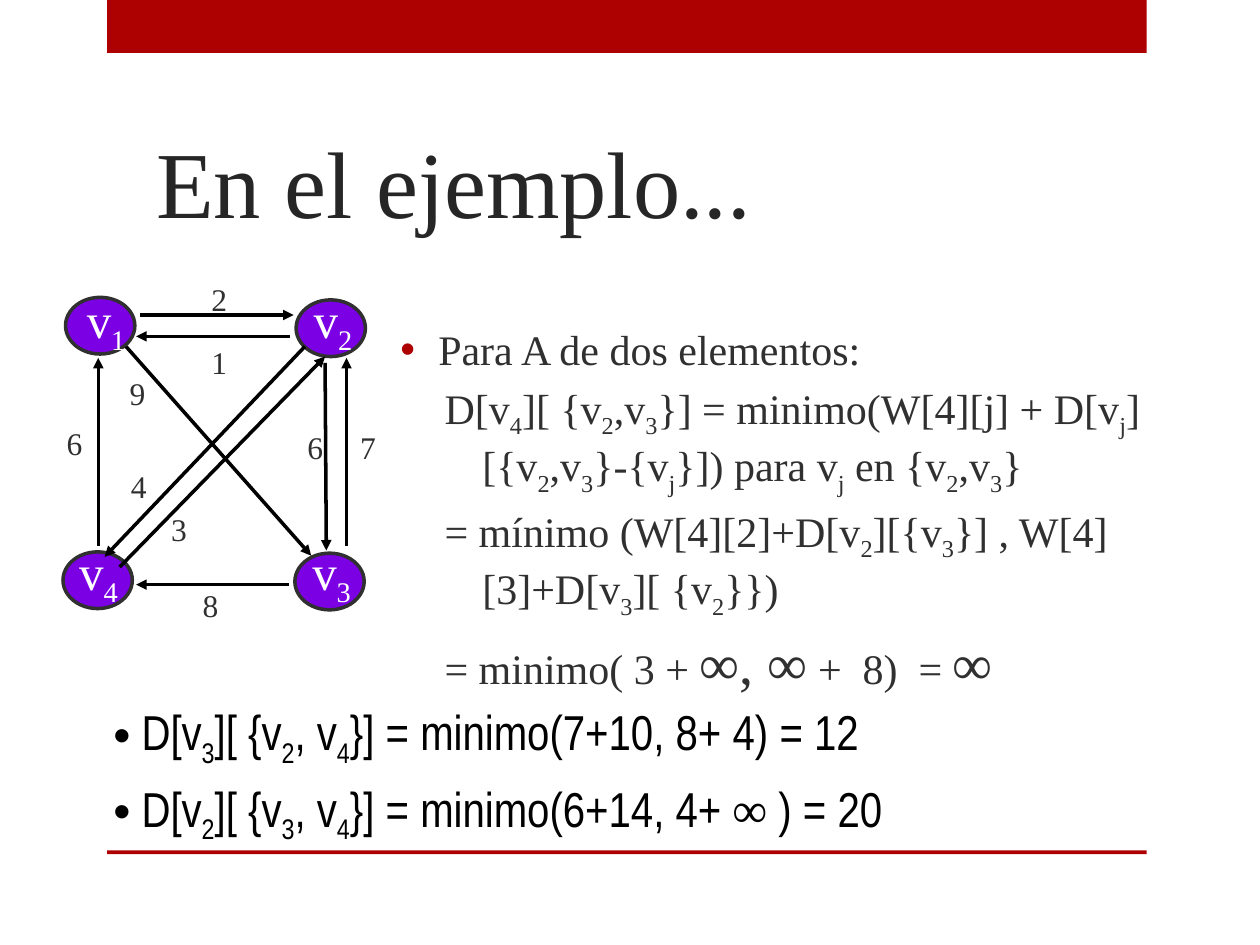
from lxml.etree import SubElement
from pptx import Presentation
from pptx.dml.color import RGBColor
from pptx.enum.shapes import MSO_CONNECTOR, MSO_SHAPE
from pptx.enum.text import MSO_ANCHOR
from pptx.oxml.ns import qn
from pptx.util import Pt

PX = 9144  # 100 px to the inch
SERIF, NARROW = "Times New Roman", "Arial Narrow"
RED, PURPLE, DARK, BLACK, WHITE = "AD0101", "7B00E4", "303030", "000000", "FFFFFF"


def color(value):
    return RGBColor.from_string(value)


def add_text(box, lines, size, text_color, font=SERIF, anchor=MSO_ANCHOR.TOP,
             wrap=False, inset=(10, 5), space=0, infinity_size=None):
    """Lines are (text, margin, indent, bullet color); _x_ marks a subscript or infinity."""
    frame = slide.shapes.add_textbox(*(n * PX for n in box)).text_frame
    frame.word_wrap = wrap
    frame.vertical_anchor = anchor
    frame.margin_left = frame.margin_right = inset[0] * PX
    frame.margin_top = frame.margin_bottom = inset[1] * PX
    for index, (text, margin, indent, bullet) in enumerate(lines):
        paragraph = frame.add_paragraph() if index else frame.paragraphs[0]
        properties = paragraph._p.get_or_add_pPr()
        properties.set("marL", str(margin * PX))
        properties.set("indent", str(indent * PX))
        if bullet:
            bullet_color = SubElement(properties, qn("a:buClr"))
            SubElement(bullet_color, qn("a:srgbClr"), val=bullet)
            SubElement(properties, qn("a:buFont"), typeface="Arial")
            SubElement(properties, qn("a:buChar"), char="•")
        paragraph.space_before = Pt(space)
        paragraph.font.size = Pt(size)
        paragraph.font.name = font
        paragraph.font.color.rgb = color(text_color)
        for position, piece in enumerate(text.split("_")):
            if not piece:
                continue
            run = paragraph.add_run()
            run.text = piece
            if position % 2 and "∞" in piece:
                run.font.name = SERIF
                run.font.size = Pt(infinity_size)
            elif position % 2:
                run._r.get_or_add_rPr().set("baseline", "-25000")


presentation = Presentation()
presentation.slide_width = 1000 * PX
presentation.slide_height = 750 * PX
slide = presentation.slides.add_slide(presentation.slide_layouts[6])

# Red bands
for top, height in ((0, 42), (675, 3)):
    band = slide.shapes.add_shape(MSO_SHAPE.RECTANGLE, 85 * PX, top * PX, 825 * PX, height * PX)
    band.shadow.inherit = False
    band.fill.solid()
    band.fill.fore_color.rgb = color(RED)
    band.line.fill.background()

# Title
add_text((114, 68, 768, 125), [("En el ejemplo...", 0, 0, None)], 54, "262626",
         anchor=MSO_ANCHOR.BOTTOM, wrap=True)

# Derivation for two elements
add_text((308, 242, 658, 325), [
    ("Para A de dos elementos:", 30, -30, RED),
    ("D[v_4_][ {v_2_,v_3_}] = minimo(W[4][j] + D[v_j_][{v_2_,v_3_}-{v_j_}])"
     " para v_j_ en {v_2_,v_3_}", 65, -30, None),
    ("= mínimo (W[4][2]+D[v_2_][{v_3_}] , W[4][3]+D[v_3_][ {v_2_}})", 65, -30, None),
    ("= minimo( 3 + _∞, ∞_ +  8)  = _∞_", 65, -30, None),
], 24, DARK, anchor=MSO_ANCHOR.MIDDLE, wrap=True, space=4.8, infinity_size=32)

# Graph nodes
for left, top in ((52, 236), (235, 238), (50, 438), (234, 439)):
    node = slide.shapes.add_shape(MSO_SHAPE.OVAL, left * PX, top * PX, 55 * PX, 45 * PX)
    node.shadow.inherit = False
    node.fill.solid()
    node.fill.fore_color.rgb = color(PURPLE)
    node.line.color.rgb = color(DARK)
    node.line.width = Pt(2)

# Graph edges, each pointing at its second end
edges = (
    (111, 250, 233, 250), (230, 267, 108, 267),  # v1 and v2
    (229, 464, 108, 464),                        # v3 to v4
    (258, 288, 259, 437), (275, 433, 275, 284),  # v2 and v3
    (78, 433, 78, 284),                          # v4 to v1
    (242, 275, 83, 442), (95, 450, 258, 283),    # v2 and v4
    (100, 275, 247, 441),                        # v1 to v3
)
for edge in edges:
    connector = slide.shapes.add_connector(MSO_CONNECTOR.STRAIGHT, *(n * PX for n in edge))
    connector.line.color.rgb = color(BLACK)
    connector.line.width = Pt(2)
    SubElement(connector.line._get_or_add_ln(), qn("a:tailEnd"), type="triangle")
    SubElement(connector._element.spPr, qn("a:effectLst"))

# Node names
for number, left, top in ((1, 59, 225), (2, 239, 225), (4, 53, 425), (3, 238, 425)):
    add_text((left, top, 52, 56), [(f"v_{number}_", 0, 0, None)], 28, WHITE)

# Edge weights
weights = ((2, 158, 217), (1, 158, 267), (9, 93, 292), (6, 43, 332), (4, 94, 366),
           (3, 126, 400), (6, 234, 335), (7, 276, 335), (8, 151, 460))
for weight, left, top in weights:
    add_text((left, top, 32, 40), [(str(weight), 0, 0, None)], 18, DARK)

# Remaining results
add_text((78, 557, 637, 103), [
    (" D[v_3_][ {v_2_, v_4_}] = minimo(7+10, 8+ 4) = 12", 12, 0, BLACK),
    (" D[v_2_][ {v_3_, v_4_}] = minimo(6+14, 4+ _∞_ ) = 20", 12, 0, BLACK),
], 28, BLACK, font=NARROW, inset=(0, 0), space=5.6, infinity_size=28)

presentation.save("out.pptx")
